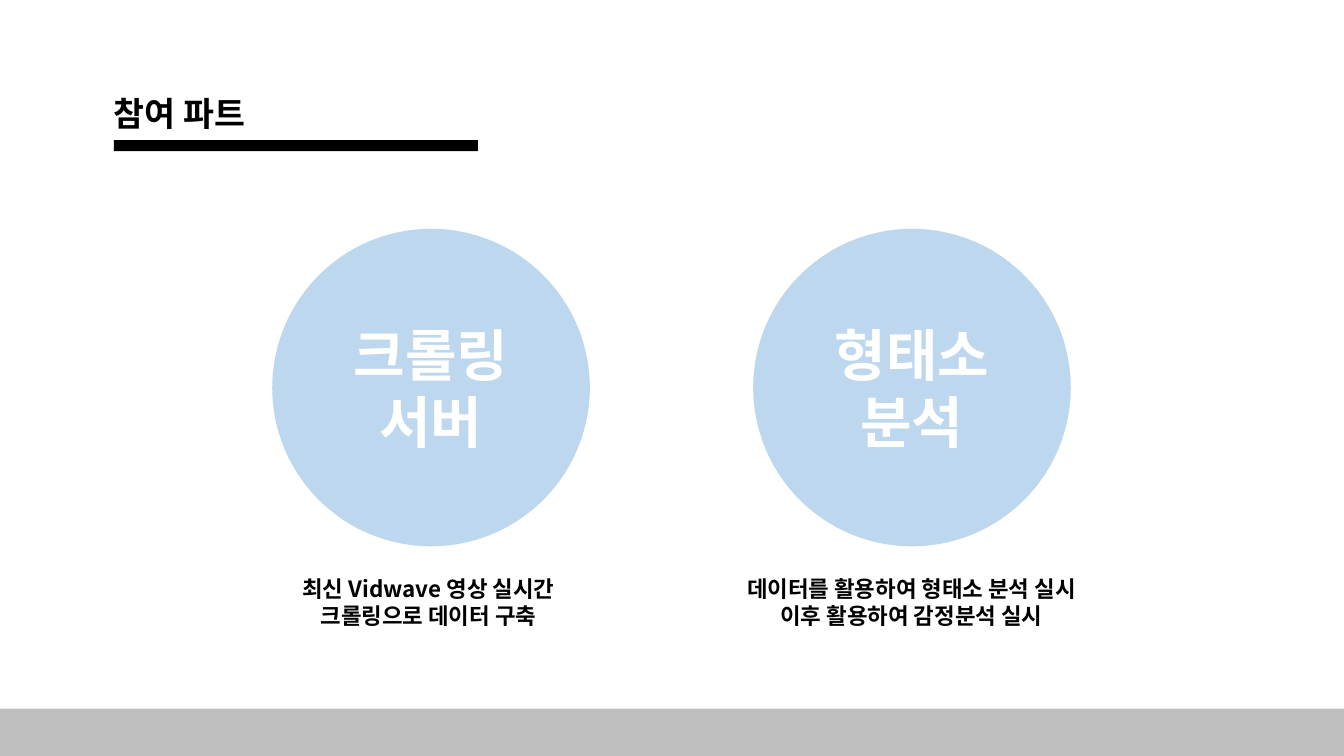
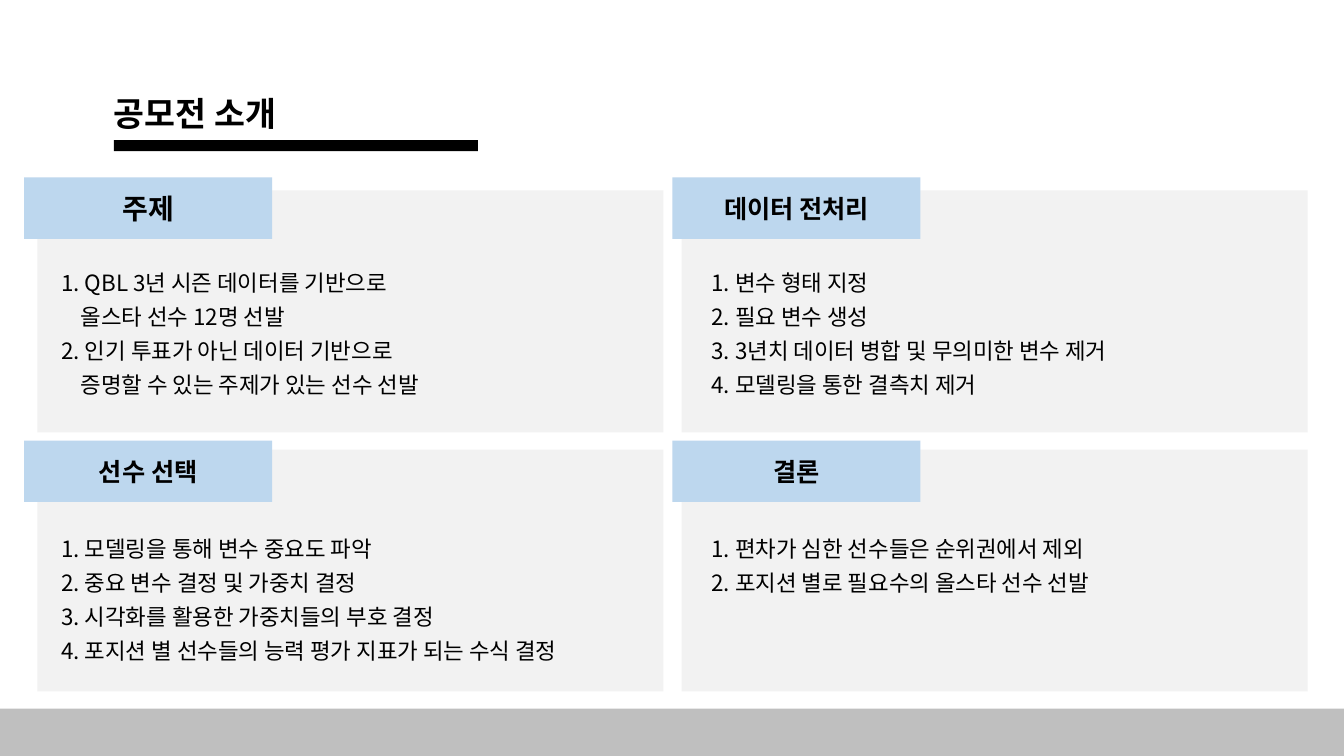
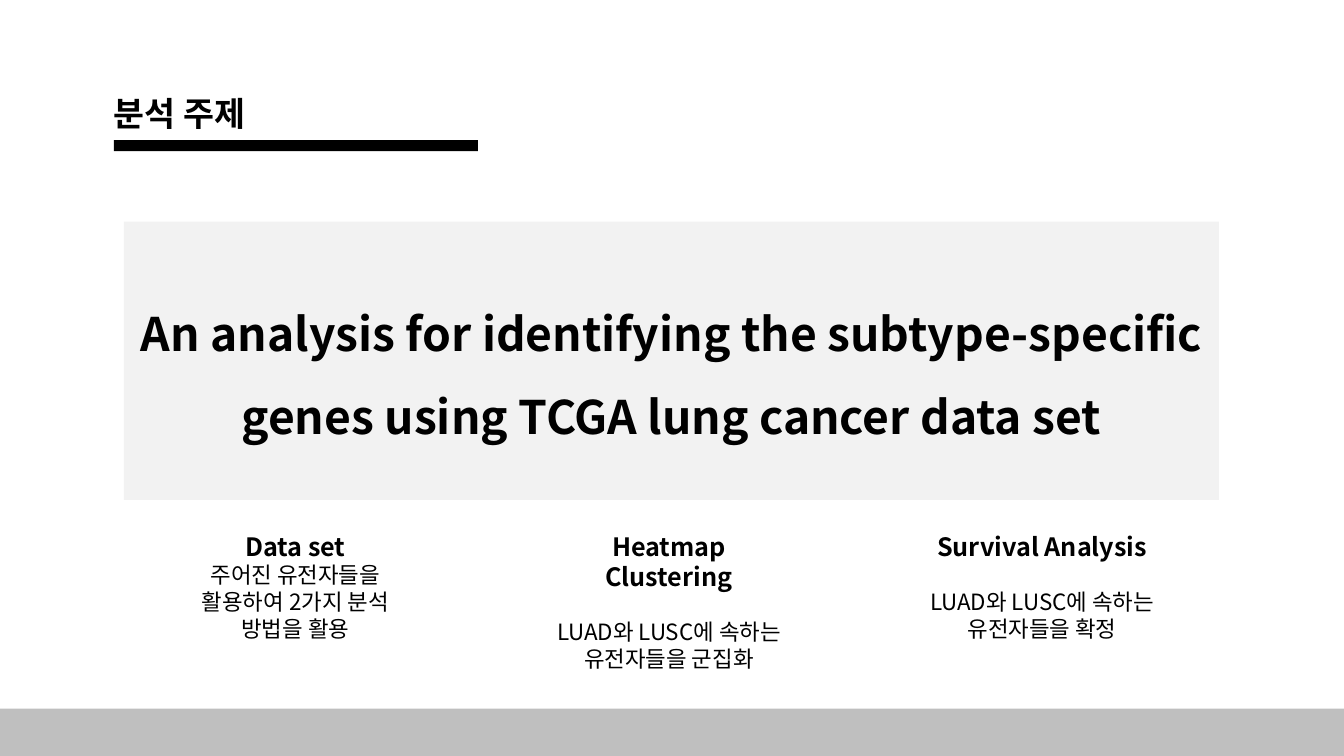
from dataclasses import dataclass

from lxml.etree import SubElement
from pptx import Presentation
from pptx.dml.color import RGBColor
from pptx.enum.shapes import MSO_SHAPE as Preset
from pptx.enum.text import MSO_ANCHOR as Anchor, PP_ALIGN as Align
from pptx.oxml.ns import qn
from pptx.shapes.autoshape import Shape
from pptx.slide import Slide
from pptx.text.text import TextFrame
from pptx.util import Inches, Pt

BLACK = RGBColor(0x00, 0x00, 0x00)
WHITE = RGBColor(0xFF, 0xFF, 0xFF)
FOOTER_GRAY = RGBColor(0xBF, 0xBF, 0xBF)
PANEL_GRAY = RGBColor(0xF2, 0xF2, 0xF2)
SKY = RGBColor(0xBD, 0xD7, 0xEE)
FONT = "Noto Sans CJK KR"

Box = tuple[float, float, float, float]


@dataclass(frozen=True)
class Line:
    text: str
    size: float = 16
    bold: bool = False
    color: RGBColor = BLACK
    align: Align = Align.CENTER
    before: float = 0
    spacing: float = 1.0
    indent: float = 0


@dataclass(frozen=True)
class Part:
    name: str
    caption: tuple[str, str]
    circle_left: float
    caption_left: float
    caption_width: float


@dataclass(frozen=True)
class Card:
    heading: str
    items: tuple[str, ...]
    list_width: float
    list_height: float = 1.39
    heading_size: float = 18
    continued: tuple[int, ...] = ()


@dataclass(frozen=True)
class Topic:
    heading: str
    body: tuple[str, ...]
    left: float
    width: float
    gap: float = 19


PARTS = (
    Part("크롤링 서버", ("최신 Vidwave 영상 실시간", "크롤링으로 데이터 구축"), 2.7, 2.77, 2.96),
    Part("형태소 분석", ("데이터를 활용하여 형태소 분석 실시", "이후 활용하여 감정분석 실시"), 7.47, 7.1, 3.88),
)

CARDS = (
    Card("주제", (
        "1. QBL 3년 시즌 데이터를 기반으로",
        "올스타 선수 12명 선발",
        "2. 인기 투표가 아닌 데이터 기반으로",
        "증명할 수 있는 주제가 있는 선수 선발",
    ), 4.28, heading_size=20, continued=(1, 3)),
    Card("데이터 전처리", (
        "1. 변수 형태 지정",
        "2. 필요 변수 생성",
        "3. 3년치 데이터 병합 및 무의미한 변수 제거",
        "4. 모델링을 통한 결측치 제거",
    ), 4.64),
    Card("선수 선택", (
        "1. 모델링을 통해 변수 중요도 파악",
        "2. 중요 변수 결정 및 가중치 결정",
        "3. 시각화를 활용한 가중치들의 부호 결정",
        "4. 포지션 별 선수들의 능력 평가 지표가 되는 수식 결정",
    ), 5.8),
    Card("결론", (
        "1. 편차가 심한 선수들은 순위권에서 제외",
        "2. 포지션 별로 필요수의 올스타 선수 선발",
    ), 4.44, 0.71),
)

TOPICS = (
    Topic("Data set", ("주어진 유전자들을", "활용하여 2가지 분석", "방법을 활용"), 1.75, 2.36, 0),
    Topic("Heatmap Clustering", ("LUAD와 LUSC에 속하는", "유전자들을 군집화"), 5.33, 2.61),
    Topic("Survival Analysis", ("LUAD와 LUSC에 속하는", "유전자들을 확정"), 9.05, 2.57),
)


def write(frame: TextFrame, lines: list[Line]) -> None:
    frame.word_wrap = True
    for index, line in enumerate(lines):
        paragraph = frame.add_paragraph() if index else frame.paragraphs[0]
        paragraph.alignment = line.align
        paragraph.space_before = Pt(line.before)
        paragraph.line_spacing = line.spacing
        if line.indent:
            paragraph._p.get_or_add_pPr().set("marL", str(Inches(line.indent)))
        run = paragraph.add_run()
        run.text = line.text
        run.font.name = FONT
        run.font.size = Pt(line.size)
        run.font.bold = line.bold
        run.font.color.rgb = line.color
        SubElement(run._r.get_or_add_rPr(), qn("a:ea")).set("typeface", FONT)


def add_text(slide: Slide, box: Box, lines: list[Line]) -> None:
    write(slide.shapes.add_textbox(*map(Inches, box)).text_frame, lines)


def add_block(slide: Slide, box: Box, fill: RGBColor, line: Line | None = None,
              preset: Preset = Preset.RECTANGLE) -> Shape:
    block = slide.shapes.add_shape(preset, *map(Inches, box))
    block.shadow.inherit = False
    block.fill.solid()
    block.fill.fore_color.rgb = fill
    block.line.fill.background()
    if line:
        block.text_frame.vertical_anchor = Anchor.MIDDLE
        write(block.text_frame, [line])
    return block


def add_page(deck: Presentation, title: str, title_width: float = 1.67) -> Slide:
    slide = deck.slides.add_slide(deck.slide_layouts[6])
    add_block(slide, (-0.16, 7.03, 13.49, 0.47), FOOTER_GRAY)
    add_block(slide, (1.13, 1.39, 3.61, 0.11), BLACK)
    add_text(slide, (1.03, 0.87, title_width, 0.5), [Line(title, 24, True, align=Align.LEFT)])
    return slide


def add_part(slide: Slide, part: Part) -> None:
    add_block(slide, (part.circle_left, 2.27, 3.15, 3.15), SKY,
              Line(part.name, 40, True, WHITE), Preset.OVAL)
    add_text(slide, (part.caption_left, 5.66, part.caption_width, 0.64),
             [Line(text, bold=True) for text in part.caption])


def add_card(slide: Slide, card: Card, row: int, column: int) -> None:
    add_block(slide, (0.37 + 6.39 * column, 1.89 + 2.57 * row, 6.21, 2.4), PANEL_GRAY)
    add_block(slide, (0.24 + 6.43 * column, 1.76 + 2.61 * row, 2.46, 0.61), SKY,
              Line(card.heading, card.heading_size, True))
    add_text(slide, (0.51 + 6.45 * column, 2.62 + 2.64 * row, card.list_width, card.list_height),
             [Line(item, align=Align.LEFT, before=5, indent=0.19 if index in card.continued else 0)
              for index, item in enumerate(card.items)])


def add_topic(slide: Slide, topic: Topic) -> None:
    first, *rest = topic.body
    add_text(slide, (topic.left, 5.22, topic.width, 1.21),
             [Line(topic.heading, 18, True), Line(first, before=topic.gap), *map(Line, rest)])


def build() -> None:
    deck = Presentation()
    deck.slide_width = Inches(13.33)
    deck.slide_height = Inches(7.5)

    parts_page = add_page(deck, "참여 파트")
    for part in PARTS:
        add_part(parts_page, part)

    contest_page = add_page(deck, "공모전 소개", 2)
    for index, card in enumerate(CARDS):
        add_card(contest_page, card, *divmod(index, 2))

    theme_page = add_page(deck, "분석 주제")
    for topic in TOPICS:
        add_topic(theme_page, topic)
    add_block(theme_page, (1.23, 2.2, 10.86, 2.76), PANEL_GRAY, Line(
        "An analysis for identifying the subtype-specific genes using TCGA lung cancer data set",
        33, True, spacing=1.5))

    deck.save("out.pptx")


build()
